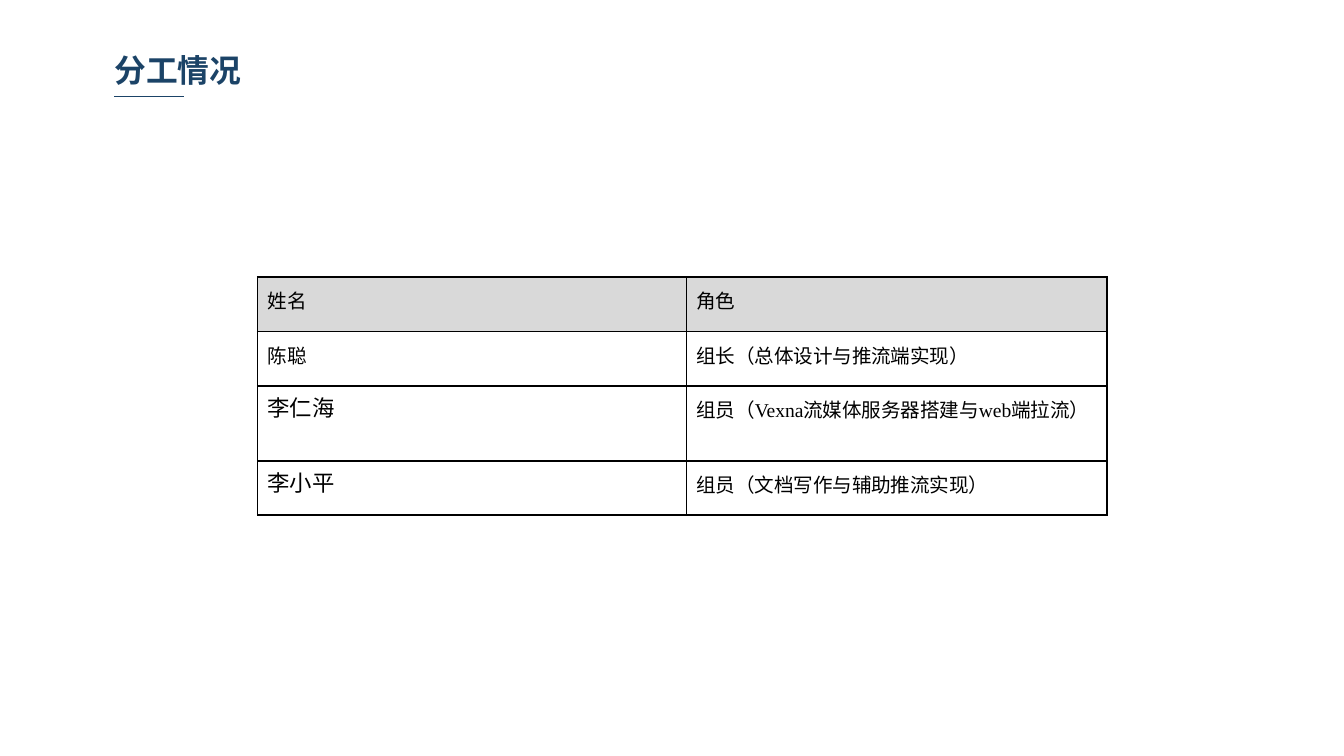
from dataclasses import dataclass
from typing import Optional

from lxml.etree import SubElement
from pptx import Presentation
from pptx.dml.color import RGBColor as RGB
from pptx.enum.shapes import MSO_CONNECTOR as Connector
from pptx.enum.text import MSO_ANCHOR as Anchor, MSO_AUTO_SIZE as AutoSize, PP_ALIGN as Align
from pptx.oxml.ns import qn
from pptx.util import Pt


@dataclass(frozen=True)
class Theme:
    accent: RGB = RGB(0x1B, 0x43, 0x67)
    ink: RGB = RGB(0, 0, 0)
    header: RGB = RGB(0xD9, 0xD9, 0xD9)
    title_font: str = "Noto Sans CJK SC"
    table_font: str = "Times New Roman"
    title_size: float = 17
    body_size: float = 10.5
    name_size: float = 12
    leading: float = 20
    border: float = 1
    rule: float = 0.75


@dataclass(frozen=True)
class Member:
    name: str
    role: str
    name_size: float


THEME = Theme()
ROWS = [
    Member("姓名", "角色", THEME.body_size),
    Member("陈聪", "组长（总体设计与推流端实现）", THEME.body_size),
    Member("李仁海", "组员（Vexna流媒体服务器搭建与web端拉流）", THEME.name_size),
    Member("李小平", "组员（文档写作与辅助推流实现）", THEME.name_size),
]
COL_WIDTHS = (229.7, 225.3)
ROW_HEIGHT = 29.2


def draw_title(s, text: str) -> None:
    sp = s.shapes.title
    sp.left, sp.top, sp.width, sp.height = Pt(56.2), Pt(24.5), Pt(177.8), Pt(25.9)
    tf = sp.text_frame
    tf.text = text
    tf.word_wrap = True
    tf.auto_size = AutoSize.NONE
    tf.vertical_anchor = Anchor.MIDDLE
    tf.margin_left = tf.margin_right = Pt(5)
    tf.margin_top = tf.margin_bottom = Pt(2.7)
    p = tf.paragraphs[0]
    p.alignment = Align.LEFT
    r = p.runs[0]
    r.font.size = Pt(THEME.title_size)
    r.font.bold = True
    r.font.color.rgb = THEME.accent
    r.font.name = THEME.title_font
    SubElement(r.font._element, qn("a:ea"), typeface=THEME.title_font)


def draw_rule(s, x1: float, x2: float, y: float) -> None:
    line = s.shapes.add_connector(Connector.STRAIGHT, Pt(x1), Pt(y), Pt(x2), Pt(y))
    line.line.color.rgb = THEME.accent
    line.line.width = Pt(THEME.rule)
    SubElement(line._element.spPr, qn("a:effectLst"))


def draw_borders(cell) -> None:
    tc_pr = cell._tc.get_or_add_tcPr()
    for side in ("lnL", "lnR", "lnT", "lnB"):
        ln = SubElement(tc_pr, qn(f"a:{side}"), w=str(Pt(THEME.border)))
        fill = SubElement(ln, qn("a:solidFill"))
        SubElement(fill, qn("a:srgbClr"), val=str(THEME.ink))


def draw_cell(cell, text: str, size: float, fill: Optional[RGB]) -> None:
    cell.margin_left = cell.margin_right = Pt(5.4)
    cell.margin_top = cell.margin_bottom = 0
    draw_borders(cell)
    if fill is None:
        cell.fill.background()
    else:
        cell.fill.solid()
        cell.fill.fore_color.rgb = fill
    tf = cell.text_frame
    tf.text = text
    p = tf.paragraphs[0]
    p.line_spacing = Pt(THEME.leading)
    r = p.runs[0]
    r.font.size = Pt(size)
    r.font.name = THEME.table_font
    r.font.bold = False
    r.font.color.rgb = THEME.ink


def draw_table(s, left: float, top: float, members: list[Member]) -> None:
    frame = s.shapes.add_table(
        len(members), len(COL_WIDTHS), Pt(left), Pt(top),
        Pt(sum(COL_WIDTHS)), Pt(ROW_HEIGHT * len(members)),
    )
    table = frame.table
    table.horz_banding = False
    for column, width in zip(table.columns, COL_WIDTHS):
        column.width = Pt(width)
    for i, member in enumerate(members):
        table.rows[i].height = Pt(ROW_HEIGHT)
        fill = THEME.header if i == 0 else None
        draw_cell(table.cell(i, 0), member.name, member.name_size, fill)
        draw_cell(table.cell(i, 1), member.role, THEME.body_size, fill)


def main() -> None:
    prs = Presentation()
    prs.slide_width, prs.slide_height = Pt(720), Pt(405)
    s = prs.slides.add_slide(prs.slide_layouts[5])
    draw_title(s, "分工情况")
    draw_rule(s, 61.2, 98.6, 51.7)
    draw_table(s, 138, 148.4, ROWS)
    prs.save("out.pptx")


if __name__ == "__main__":
    main()
